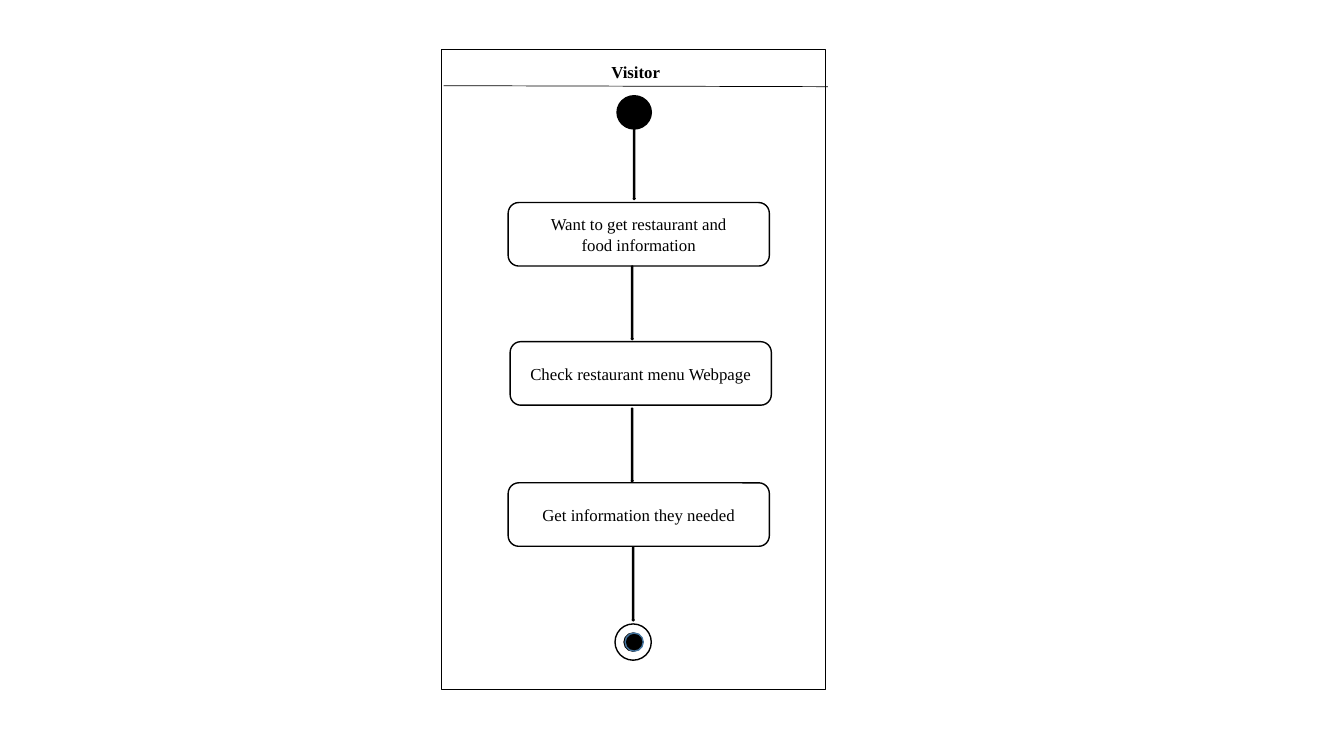
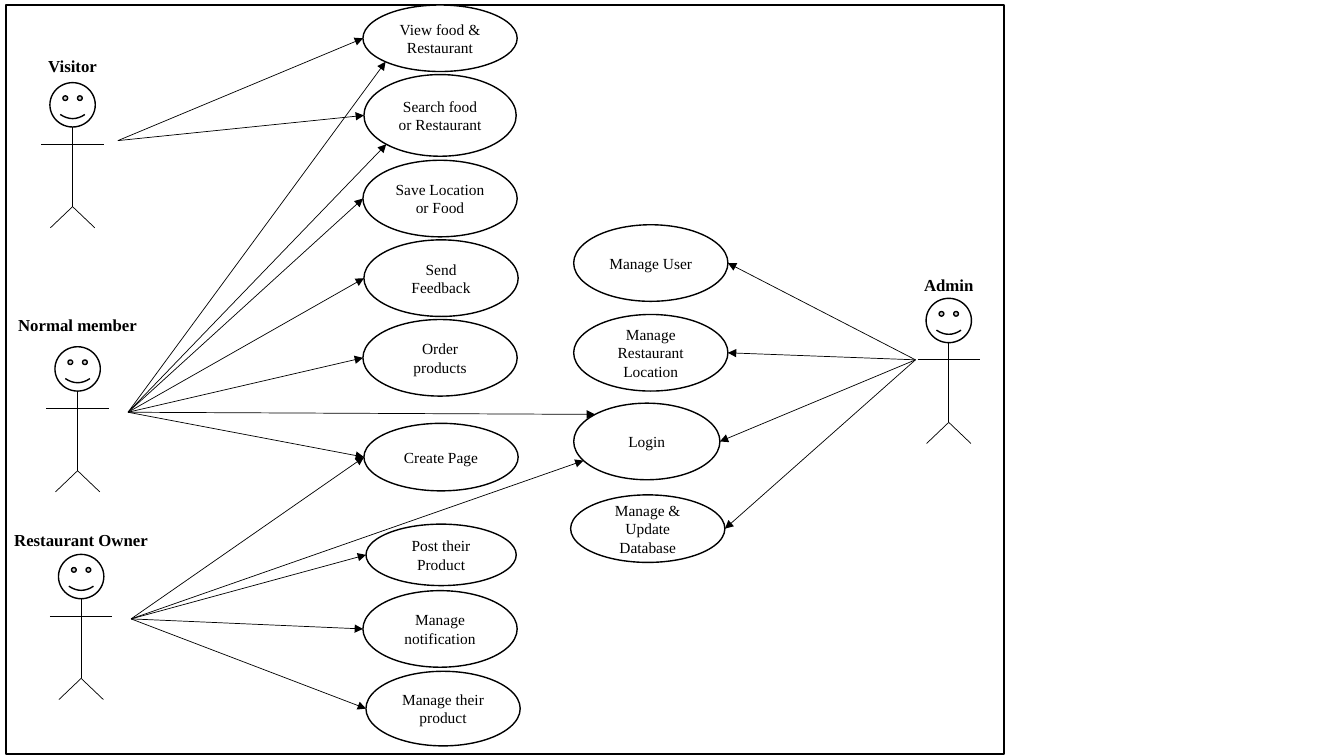
"""Builds the visitor activity diagram and the restaurant use case diagram."""
import math

from lxml import etree
from pptx import Presentation
from pptx import util as u
from pptx.dml.color import RGBColor
from pptx.enum import shapes, text
from pptx.oxml.ns import qn

CELL = u.Inches(0.1)
FONT = "Times New Roman"
COLORS = {"ink": "000000", "paper": "FFFFFF", "dot_rim": "43739E"}
KIND = shapes.MSO_SHAPE

STEP_SIZE = (25.9, 6.3)
STEPS = [
    (50.4, 20.1, "Want to get restaurant and\nfood information"),
    (50.6, 33.9, "Check restaurant menu Webpage"),
    (50.4, 47.9, "Get information they needed"),
]
FLOWS = [(62.8, 12.5), (62.6, 26.4), (62.6, 40.5), (62.7, 54.3)]

USE_CASES = {
    "View food & Restaurant": (36, 0.5, 15.3, 6.6),
    "Search food or Restaurant": (36.1, 7.4, 15.1, 8.1),
    "Save Location or Food": (36, 15.9, 15.3, 7.6),
    "Send Feedback": (36.1, 23.8, 15.3, 7.6),
    "Order products": (36, 31.7, 15.3, 7.6),
    "Create Page": (36.1, 42, 15.3, 6.7),
    "Post their Product": (36.3, 52, 14.9, 6.1),
    "Manage notification": (36, 58.6, 15.3, 7.6),
    "Manage their product": (36.3, 66.6, 15.3, 7.4),
    "Manage User": (56.9, 22.3, 15.3, 7.6),
    "Manage Restaurant Location": (56.9, 31.2, 15.3, 7.6),
    "Login": (56.9, 40, 14.5, 7.6),
    "Manage & Update Database": (56.6, 49.1, 15.3, 6.7),
}

RIGHT, LOWER_LEFT, LOW_LEFT, LEFT, UPPER_LEFT = 0, 135, 150, 180, 225

ACTORS = {
    "Visitor": {"center": 7.2, "head": 8.2, "label": 4.5, "hub": (11.7, 13.95), "uses": [
        ("View food & Restaurant", LEFT), ("Search food or Restaurant", LEFT)]},
    "Normal member": {"center": 7.7, "head": 34.4, "label": 30.2, "hub": (12.7, 40.9), "uses": [
        ("View food & Restaurant", LOWER_LEFT), ("Search food or Restaurant", LOWER_LEFT),
        ("Save Location or Food", LEFT), ("Send Feedback", LEFT), ("Order products", LEFT),
        ("Create Page", LEFT), ("Login", UPPER_LEFT)]},
    "Restaurant Owner": {"center": 8.05, "head": 55, "label": 51.5, "hub": (13, 61.4), "uses": [
        ("Create Page", LEFT), ("Login", LOW_LEFT), ("Post their Product", LEFT),
        ("Manage notification", LEFT), ("Manage their product", LEFT)]},
    "Admin": {"center": 94.1, "head": 29.6, "label": 26.2, "hub": (90.8, 35.7), "uses": [
        ("Manage User", RIGHT), ("Manage Restaurant Location", RIGHT), ("Login", RIGHT),
        ("Manage & Update Database", RIGHT)]},
}


def cells(*counts):
    """Turn counts of grid cells into lengths."""
    return [u.Emu(round(count * CELL)) for count in counts]


def rim(box, degrees):
    """Give the point of an ellipse at an angle measured clockwise from its right."""
    left, top, width, height = box
    turn = math.radians(degrees)
    return (left + width / 2 * (1 + math.cos(turn)),
            top + height / 2 * (1 + math.sin(turn)))


def write(shape, wording, size=12, bold=False, spacing=1.0, margin=None):
    """Fill a shape with centred text."""
    frame = shape.text_frame
    frame.text = wording
    frame.word_wrap = True
    frame.auto_size = text.MSO_AUTO_SIZE.NONE
    frame.vertical_anchor = text.MSO_ANCHOR.MIDDLE
    if margin is not None:
        frame.margin_left = frame.margin_right = margin
    for paragraph in frame.paragraphs:
        paragraph.alignment = text.PP_ALIGN.CENTER
        paragraph.line_spacing = spacing
        font = paragraph.runs[0].font
        font.name, font.size, font.bold = FONT, u.Pt(size), bold
        font.color.rgb = RGBColor.from_string(COLORS["ink"])


class Diagram:
    """Holds the shared style and the current slide."""

    def __init__(self):
        """Start an empty widescreen presentation."""
        self.deck = Presentation()
        self.deck.slide_width, self.deck.slide_height = u.Inches(13.33), u.Inches(7.5)
        self.slide = None

    def new_slide(self, *frame):
        """Add a slide with its system frame."""
        self.slide = self.deck.slides.add_slide(self.deck.slide_layouts[5])
        self.node(KIND.RECTANGLE, frame)

    def node(self, kind, box, wording="", fill="paper", line="ink", parent=None, **style):
        """Draw an outlined shape, with text if there is any."""
        shape = (parent or self.slide).shapes.add_shape(kind, *cells(*box))
        shape.shadow.inherit = False
        shape.fill.solid()
        shape.fill.fore_color.rgb = RGBColor.from_string(COLORS[fill])
        shape.line.color.rgb = RGBColor.from_string(COLORS[line])
        shape.line.width = u.Pt(1)
        if wording:
            write(shape, wording, **style)

    def link(self, start, end, arrow=False, parent=None):
        """Draw a thin line, with an arrowhead at its end if wanted."""
        line = (parent or self.slide).shapes.add_connector(
            shapes.MSO_CONNECTOR.STRAIGHT, *cells(*start, *end))
        line.line.color.rgb = RGBColor.from_string(COLORS["ink"])
        line.line.width = u.Pt(0.5)
        properties = line.element.spPr
        if arrow:
            etree.SubElement(properties.find(qn("a:ln")), qn("a:tailEnd"), type="triangle")
        etree.SubElement(properties, qn("a:effectLst"))

    def title(self, wording, box):
        """Place the title in front of the frame."""
        heading = self.slide.shapes.title
        self.slide.shapes.element.append(heading.element)
        heading.left, heading.top, heading.width, heading.height = cells(*box)
        write(heading, wording, bold=True, spacing=0.9)

    def label(self, wording, box):
        """Place a bold caption."""
        caption = self.slide.shapes.add_textbox(*cells(*box))
        write(caption, wording, bold=True, spacing=0.9, margin=0)

    def figure(self, center, head):
        """Draw a stick figure as one group."""
        group = self.slide.shapes.add_group_shape()
        arms, hip, feet = head + 6.1, head + 12.3, head + 14.4
        self.node(KIND.SMILEY_FACE, (center - 2.25, head, 4.5, 4.4), parent=group)
        for start, end in [
            ((center - 3.1, arms), (center + 3.1, arms)),
            ((center, head + 4.4), (center, hip)),
            ((center, hip), (center - 2.2, feet)),
            ((center, hip), (center + 2.2, feet)),
        ]:
            self.link(start, end, parent=group)


def activity(diagram):
    """Draw the visitor's path from start to end."""
    diagram.new_slide(43.8, 4.9, 38.1, 63.5)
    diagram.title("Visitor", (44.7, 5, 36.7, 4.5))
    diagram.link((44, 8.5), (82.1, 8.6))
    diagram.node(KIND.OVAL, (61.2, 9.5, 3.4, 3.3), fill="ink")
    for left, top, wording in STEPS:
        diagram.node(KIND.ROUNDED_RECTANGLE, (left, top, *STEP_SIZE), wording)
    diagram.node(KIND.DONUT, (61, 61.9, 3.6, 3.6))
    diagram.node(KIND.OVAL, (62, 62.8, 1.8, 1.8), fill="ink", line="dot_rim")
    for left, top in FLOWS:
        diagram.node(KIND.DOWN_ARROW, (left, top, 0.2, 7.3), fill="ink")


def use_cases(diagram):
    """Draw the actors and what each of them can do."""
    diagram.new_slide(0.6, 0.5, 99, 74.3)
    for wording, box in USE_CASES.items():
        diagram.node(KIND.OVAL, box, wording, size=11)
    for name, actor in ACTORS.items():
        diagram.figure(actor["center"], actor["head"])
        caption = diagram.title if name == "Visitor" else diagram.label
        caption(name, (actor["center"] - 7.7, actor["label"], 15.4, 4.3))
        for case, side in actor["uses"]:
            diagram.link(actor["hub"], rim(USE_CASES[case], side), arrow=True)


def main():
    """Build both slides and save them."""
    diagram = Diagram()
    activity(diagram)
    use_cases(diagram)
    diagram.deck.save("out.pptx")


if __name__ == "__main__":
    main()
